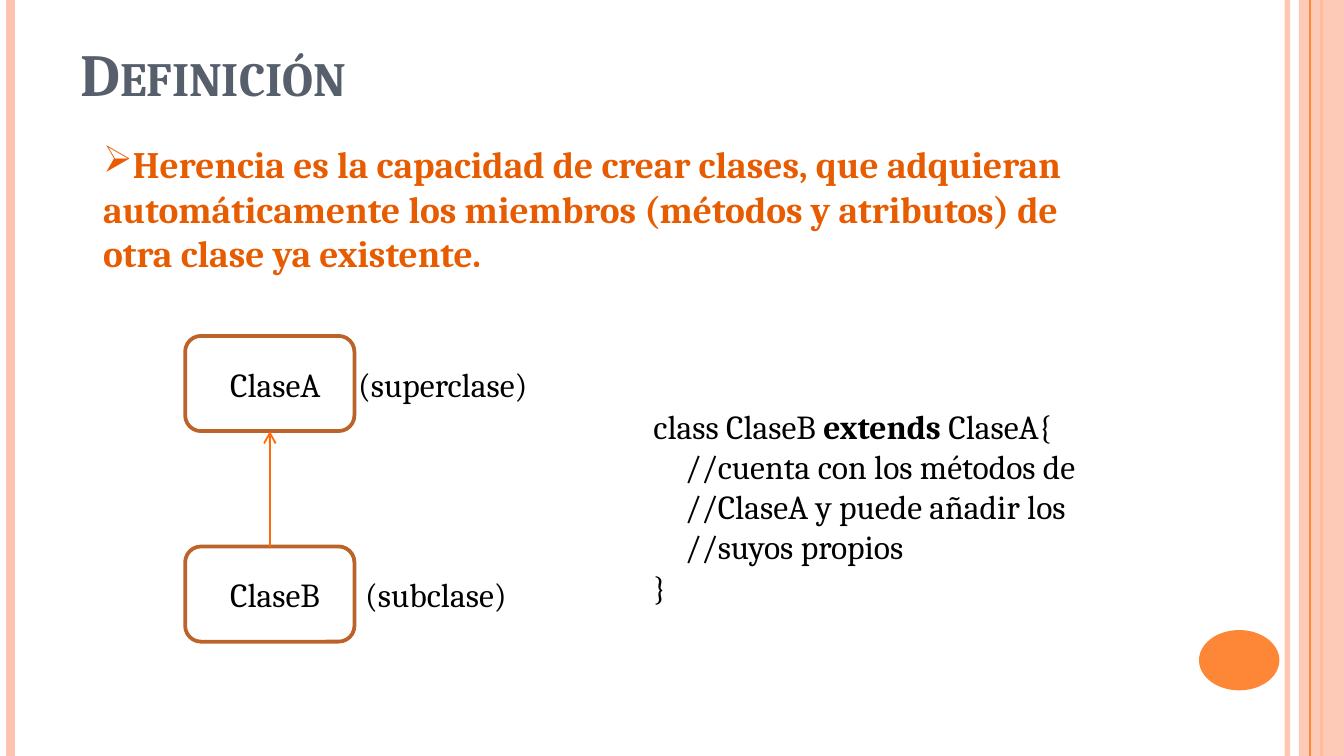
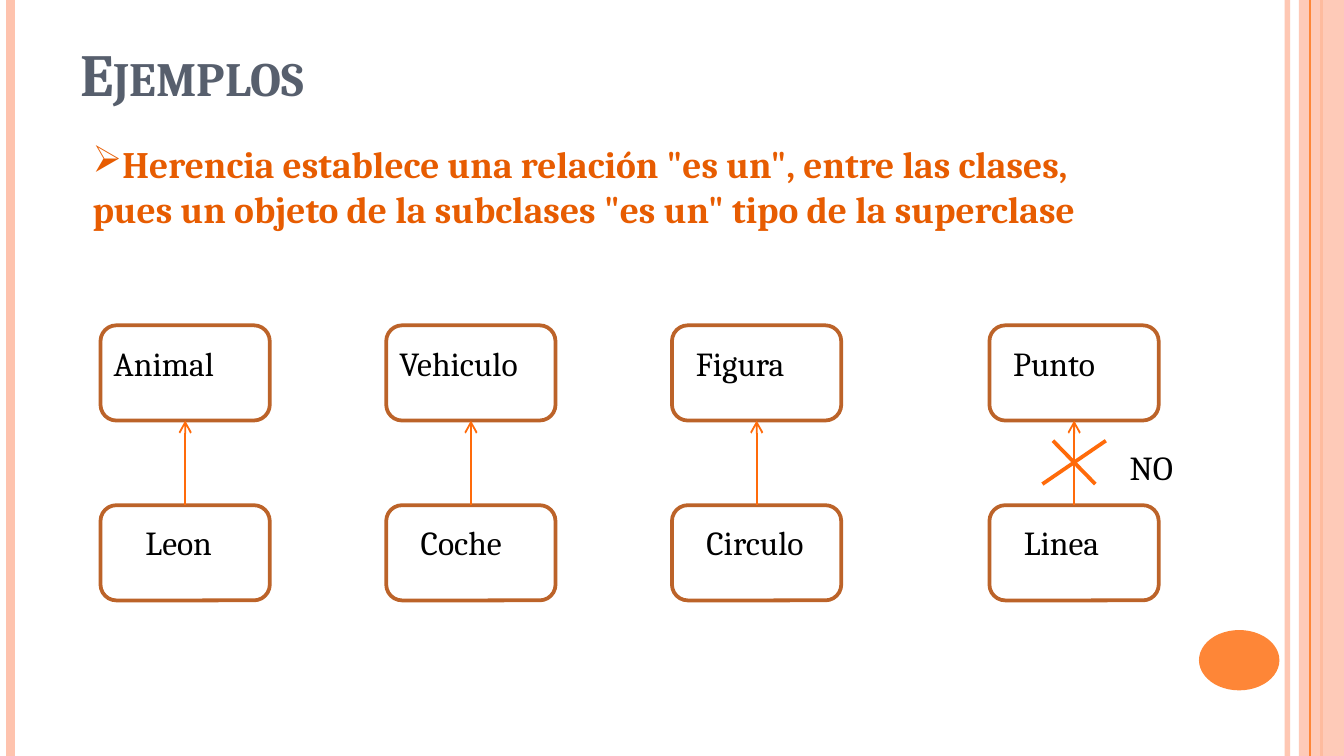
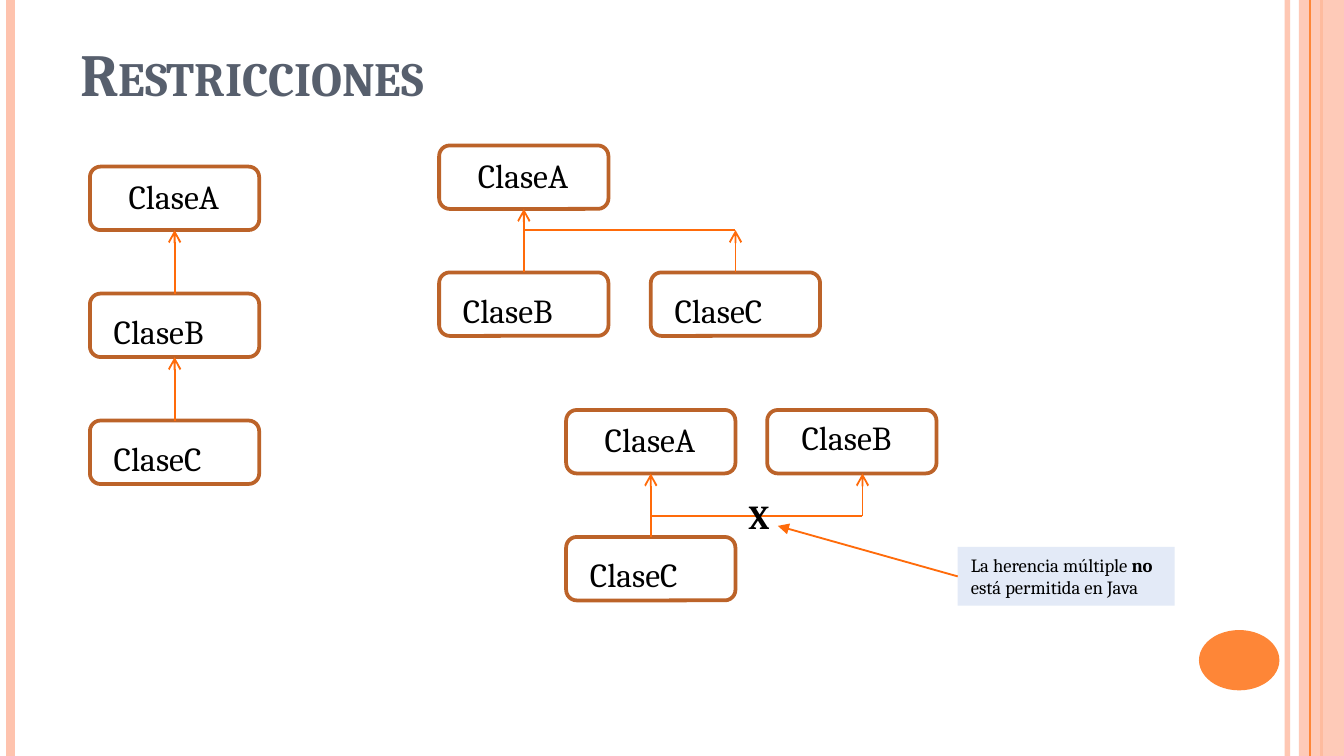
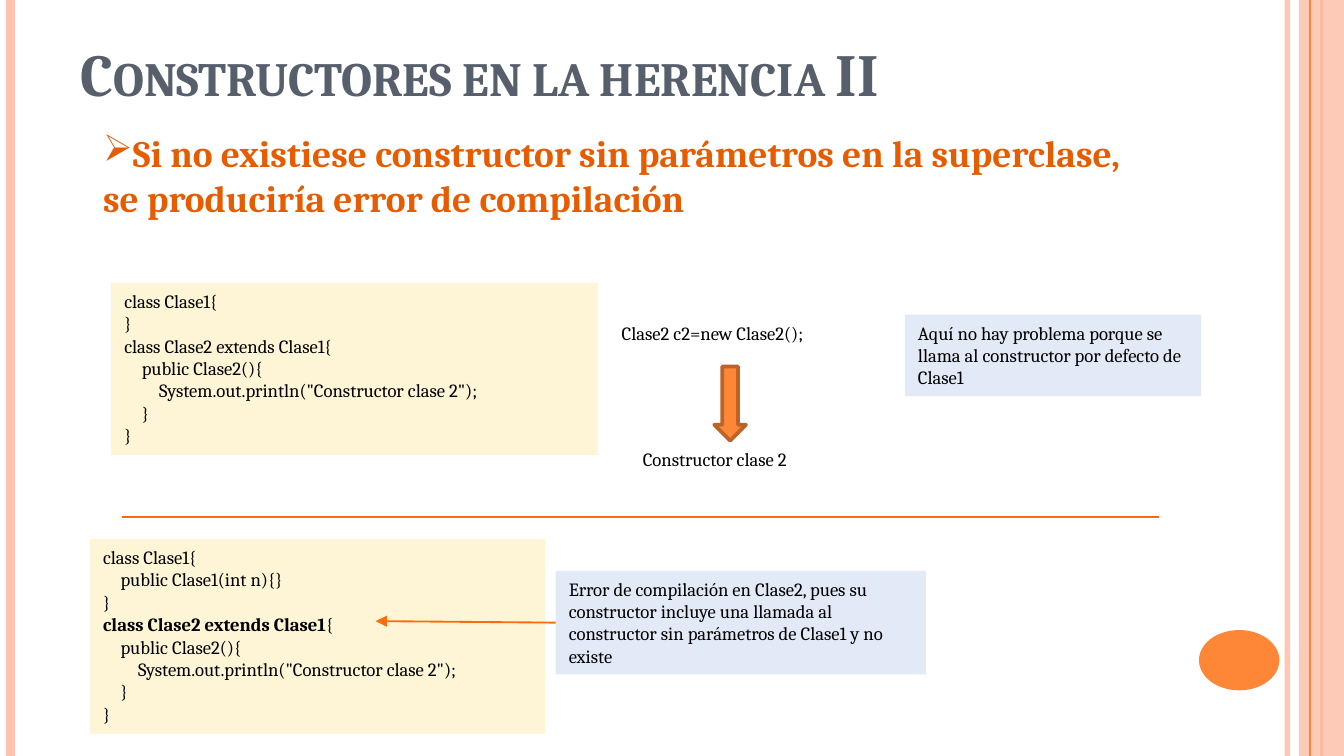
from dataclasses import dataclass
from typing import Optional

from lxml import etree
from pptx import Presentation
from pptx.dml.color import RGBColor
from pptx.enum import shapes, text
from pptx.oxml import ns
from pptx.shapes.autoshape import Shape
from pptx.shapes.connector import Connector
from pptx.slide import Slide
from pptx.util import Cm, Pt


@dataclass(frozen=True)
class Theme:
    font: str = "Cambria"
    title: str = "575F6D"
    statement: str = "E75C01"
    ink: str = "000000"
    pale_band: str = "FEC3AE"
    orange: str = "FE8637"
    outline: str = "BC6329"
    link: str = "FF6B0A"
    note: str = "E3EAF7"
    code: str = "FDF5D5"
    title_size: float = 32
    statement_size: float = 20
    label_size: float = 18
    small_size: float = 10
    thin: float = 1
    thick: float = 2


THEME = Theme()
WIDTH, HEIGHT = 25.4, 14.29
BOX_WIDTH = 3.2
LABEL_HEIGHT = 1.02


@dataclass(frozen=True)
class Area:
    """A rectangle in centimetres."""
    left: float
    top: float
    width: float
    height: float

    def lengths(self) -> tuple:
        return Cm(self.left), Cm(self.top), Cm(self.width), Cm(self.height)


@dataclass(frozen=True)
class Style:
    size: float
    color: str = THEME.ink
    bold: bool = False


TITLE = Style(THEME.title_size, THEME.title, True)
STATEMENT = Style(THEME.statement_size, THEME.statement, True)
LABEL = Style(THEME.label_size)
STRONG_LABEL = Style(THEME.label_size, bold=True)
SMALL = Style(THEME.small_size)


@dataclass(frozen=True)
class ClassBox:
    """A class outline; dx and dy place its label inside it."""
    label: str
    left: float
    top: float
    dx: float
    dy: float = 0.2
    label_width: float = 2.6
    height: float = 1.8
    tab: Optional[float] = None


@dataclass(frozen=True)
class Band:
    x: float
    weight: float
    color: str
    opacity: int = 100


BANDS_BELOW = (Band(24.33, 3, THEME.pale_band, 93), Band(0.2, 4.5, THEME.pale_band),
               Band(24.97, 1.5, THEME.orange))
BAND_ABOVE = Band(24.76, 0.75, THEME.orange)
SIDE_PANEL = Area(24.55, 0, 0.85, HEIGHT)
PAGE_DISC = Area(22.66, 11.91, 1.52, 1.14)


def add_xml(parent, tag: str, **attributes: str):
    child = etree.SubElement(parent, ns.qn(tag))
    for key, value in attributes.items():
        child.set(key, value)
    return child


def paint(fill, color: str, opacity: int = 100) -> None:
    fill.solid()
    fill.fore_color.rgb = RGBColor.from_string(color)
    if opacity < 100:
        for solid in fill._xPr.iter(ns.qn("a:srgbClr")):
            add_xml(solid, "a:alpha", val=str(opacity * 1000))


def line(slide: Slide, start: tuple[float, float], end: tuple[float, float],
         color: str = THEME.link, weight: float = THEME.thin,
         opacity: int = 100, head: Optional[str] = None) -> Connector:
    connector = slide.shapes.add_connector(
        shapes.MSO_CONNECTOR.STRAIGHT, *(Cm(v) for v in (*start, *end)))
    connector.line.width = Pt(weight)
    paint(connector.line.fill, color, opacity)
    if head:
        add_xml(connector.line._get_or_add_ln(), "a:tailEnd", type=head)
    add_xml(connector._element.spPr, "a:effectLst")
    return connector


def preset(slide: Slide, kind: shapes.MSO_SHAPE, area: Area, fill: Optional[str] = None,
           outline: Optional[str] = None, opacity: int = 100) -> Shape:
    figure = slide.shapes.add_shape(kind, *area.lengths())
    figure.shadow.inherit = False
    if fill:
        paint(figure.fill, fill, opacity)
    else:
        figure.fill.background()
    if outline:
        paint(figure.line.fill, outline)
        figure.line.width = Pt(THEME.thick)
    else:
        figure.line.fill.background()
    return figure


def write(slide: Slide, area: Area, content: str, style: Style,
          fill: Optional[str] = None, grow: bool = True) -> Shape:
    """Write one paragraph a line: leading spaces become an indent, *marks* bold."""
    box = slide.shapes.add_textbox(*area.lengths())
    if fill:
        paint(box.fill, fill)
    frame = box.text_frame
    settings = {
        "word_wrap": True,
        "vertical_anchor": text.MSO_ANCHOR.TOP,
        "auto_size": (text.MSO_AUTO_SIZE.SHAPE_TO_FIT_TEXT if grow
                      else text.MSO_AUTO_SIZE.NONE),
    }
    for key, value in settings.items():
        setattr(frame, key, value)
    for index, row in enumerate(content.split("\n")):
        paragraph = frame.add_paragraph() if index else frame.paragraphs[0]
        body = row.lstrip(" ")
        depth = (len(row) - len(body)) // 4
        if depth:
            indent = Cm(0.033 * style.size * depth)
            paragraph._p.get_or_add_pPr().set("marL", str(indent))
        for part, words in enumerate(body.split("*")):
            if not words:
                continue
            run = paragraph.add_run()
            run.text = words
            formats = {"name": THEME.font, "size": Pt(style.size),
                       "bold": style.bold or part % 2 == 1}
            for key, value in formats.items():
                setattr(run.font, key, value)
            run.font.color.rgb = RGBColor.from_string(style.color)
    return box


def state(slide: Slide, content: str, left: float = 1.7, top: float = 2.54) -> None:
    """Write the bulleted key sentence of a slide."""
    box = write(slide, Area(left, top, 20, 3.76), content, STATEMENT, grow=False)
    paragraph = box.text_frame.paragraphs[0]
    for key, value in {"space_before": Pt(6), "space_after": Pt(12)}.items():
        setattr(paragraph, key, value)
    properties = paragraph._p.get_or_add_pPr()
    properties.set("marL", "0")
    properties.set("indent", "0")
    add_xml(properties, "a:buChar", char="➢")


def draw_class(slide: Slide, item: ClassBox) -> Shape:
    outline = preset(slide, shapes.MSO_SHAPE.ROUNDED_RECTANGLE,
                     Area(item.left, item.top, BOX_WIDTH, item.height),
                     outline=THEME.outline)
    label = write(slide, Area(item.left + item.dx, item.top + item.dy,
                              item.label_width, LABEL_HEIGHT), item.label, LABEL)
    if item.tab:
        properties = label.text_frame.paragraphs[0]._p.get_or_add_pPr()
        stops = add_xml(properties, "a:tabLst")
        add_xml(stops, "a:tab", pos=str(Cm(item.tab)), algn="l")
    return outline


def inherit(slide: Slide, child: Shape, parent: Shape) -> None:
    """Draw the arrow from a subclass up to its superclass."""
    arrow = line(slide, (0, 0), (1, 1), head="arrow")
    arrow.begin_connect(child, 0)
    arrow.end_connect(parent, 2)


def draw_band(slide: Slide, band: Band) -> None:
    line(slide, (band.x, 0), (band.x, HEIGHT), band.color, band.weight, band.opacity)


def start_slide(deck, title: str) -> Slide:
    slide = deck.slides.add_slide(deck.slide_layouts[6])
    for band in BANDS_BELOW:
        draw_band(slide, band)
    preset(slide, shapes.MSO_SHAPE.RECTANGLE, SIDE_PANEL, THEME.pale_band, opacity=87)
    draw_band(slide, BAND_ABOVE)
    preset(slide, shapes.MSO_SHAPE.OVAL, PAGE_DISC, THEME.orange)
    heading = write(slide, Area(1.27, 0.58, 20.75, 2.39), title, TITLE, grow=False)
    heading.text_frame.paragraphs[0].runs[0].font._element.set("cap", "small")
    return slide


def definition(deck) -> None:
    slide = start_slide(deck, "Definición")
    state(slide, "Herencia es la capacidad de crear clases, que adquieran "
                 "automáticamente los miembros (métodos y atributos) de otra clase "
                 "ya existente.")
    superclass, subclass = (
        draw_class(slide, ClassBox(label, 3.5, top, 0.6, 0.4, 7.4, tab=tab))
        for label, top, tab in (("ClaseA\t(superclase)", 6.35, 2.42),
                                ("ClaseB\t(subclase)", 10.33, 2.55)))
    inherit(slide, subclass, superclass)
    write(slide, Area(12.1, 7.54, 9.6, 4.11),
          "class ClaseB *extends *ClaseA{\n"
          "    //cuenta con los métodos de\n"
          "    //ClaseA y puede añadir los\n"
          "    //suyos propios\n"
          "}", LABEL)


def examples(deck) -> None:
    slide = start_slide(deck, "Ejemplos")
    state(slide, 'Herencia establece una relación "es un", entre las clases, pues un '
                 'objeto de la subclases "es un" tipo de la superclase', left=1.5)
    parent_top, child_top = 6.15, 9.55
    pairs = (
        (ClassBox("Animal", 1.9, parent_top, 0, label_width=2.8),
         ClassBox("Leon", 1.9, child_top, 0.6, label_width=2)),
        (ClassBox("Vehiculo", 7.3, parent_top, 0, label_width=3.2),
         ClassBox("Coche", 7.3, child_top, 0.4)),
        (ClassBox("Figura", 12.7, parent_top, 0.2),
         ClassBox("Circulo", 12.7, child_top, 0.4, label_width=2.8)),
        (ClassBox("Punto", 18.7, parent_top, 0.2, label_width=3),
         ClassBox("Linea", 18.7, child_top, 0.4)),
    )
    for parent, child in pairs:
        superclass, subclass = draw_class(slide, parent), draw_class(slide, child)
        inherit(slide, subclass, superclass)
    cross_top, cross_bottom = 8.33, 9.15
    line(slide, (19.7, cross_bottom), (20.9, cross_top), weight=THEME.thick)
    line(slide, (19.9, cross_top), (20.7, cross_bottom), weight=THEME.thick)
    write(slide, Area(21.1, cross_top, 1.6, LABEL_HEIGHT), "NO", LABEL)


def restrictions(deck) -> None:
    slide = start_slide(deck, "Restricciones")
    height, step = 1.2, 2.4

    def root(left: float, top: float) -> Shape:
        return draw_class(slide, ClassBox("ClaseA", left, top, 0.48, 0.05, 3.2, height))

    def derived(label: str, left: float, top: float) -> Shape:
        return draw_class(slide, ClassBox(label, left, top, 0.2, height=height))

    chain_left, chain_top = 1.7, 3.15
    parent = root(chain_left, chain_top)
    for level, label in enumerate(("ClaseB", "ClaseC"), start=1):
        child = derived(label, chain_left, chain_top + level * step)
        inherit(slide, child, parent)
        parent = child

    tree_left, tree_top, branch_left = 8.3, 2.75, 12.3
    inherit(slide, derived("ClaseB", tree_left, tree_top + step),
            root(tree_left, tree_top))
    branch = derived("ClaseC", branch_left, tree_top + step)
    middle, branch_middle = tree_left + BOX_WIDTH / 2, branch_left + BOX_WIDTH / 2
    joint = 4.35
    line(slide, (branch_middle, tree_top + step), (branch_middle, joint),
         head="arrow").begin_connect(branch, 0)
    line(slide, (branch_middle, joint), (middle, joint))

    multiple_left, multiple_top = 10.7, 7.75
    superclass = root(multiple_left, multiple_top)
    draw_class(slide, ClassBox("ClaseB", 14.5, multiple_top, 0.4, 0, height=height))
    inherit(slide, derived("ClaseC", multiple_left, multiple_top + step), superclass)
    second_x, joint = 16.3, 9.75
    line(slide, (second_x, joint), (second_x, multiple_top + height), head="arrow")
    line(slide, (second_x, joint), (multiple_left + BOX_WIDTH / 2, joint))
    write(slide, Area(13.9, 9.25, 1.2, LABEL_HEIGHT), "X", STRONG_LABEL)
    warning = write(slide, Area(18.1, 10.34, 4.1, 1.11),
                    "La herencia múltiple *no* está permitida en Java",
                    SMALL, THEME.note)
    line(slide, (18.1, 10.9), (14.7, 9.94), head="triangle").begin_connect(warning, 1)


def constructors(deck) -> None:
    slide = start_slide(deck, "Constructores en la herencia II")
    state(slide, "Si no existiese constructor sin parámetros en la superclase, se "
                 "produciría error de compilación", top=2.34)
    constructor = ("    public Clase2(){\n"
                   '        System.out.println("Constructor clase 2");\n'
                   "    }\n"
                   "}")
    write(slide, Area(2.1, 5.35, 9.2, 3.25),
          f"class Clase1{{\n}}\nclass Clase2 extends Clase1{{\n{constructor}",
          SMALL, THEME.code)
    write(slide, Area(11.5, 5.95, 8, 0.68), "Clase2 c2=new Clase2();", SMALL)
    preset(slide, shapes.MSO_SHAPE.DOWN_ARROW, Area(13.5, 6.93, 0.6, 1.4),
           THEME.orange, THEME.outline)
    write(slide, Area(11.9, 8.34, 4, 0.68), "Constructor clase 2", SMALL)
    write(slide, Area(17.1, 5.95, 5.6, 1.54),
          "Aquí no hay problema porque se llama al constructor por defecto de Clase1",
          SMALL, THEME.note)
    line(slide, (2.3, 9.78), (21.9, 9.78))
    write(slide, Area(1.7, 10.19, 8.6, 3.68),
          "class Clase1{\n    public Clase1(int n){}\n}\n"
          f"*class Clase2 extends Clase1*{{\n{constructor}", SMALL, THEME.code)
    error = write(slide, Area(10.5, 10.79, 7, 1.96),
                  "Error de compilación en Clase2, pues su constructor incluye una "
                  "llamada al constructor sin parámetros de Clase1 y no existe",
                  SMALL, THEME.note)
    line(slide, (10.5, 11.77), (7.1, 11.74), head="triangle").begin_connect(error, 1)


def main() -> None:
    deck = Presentation()
    deck.slide_width, deck.slide_height = Cm(WIDTH), Cm(HEIGHT)
    for build in (definition, examples, restrictions, constructors):
        build(deck)
    deck.save("out.pptx")


if __name__ == "__main__":
    main()
